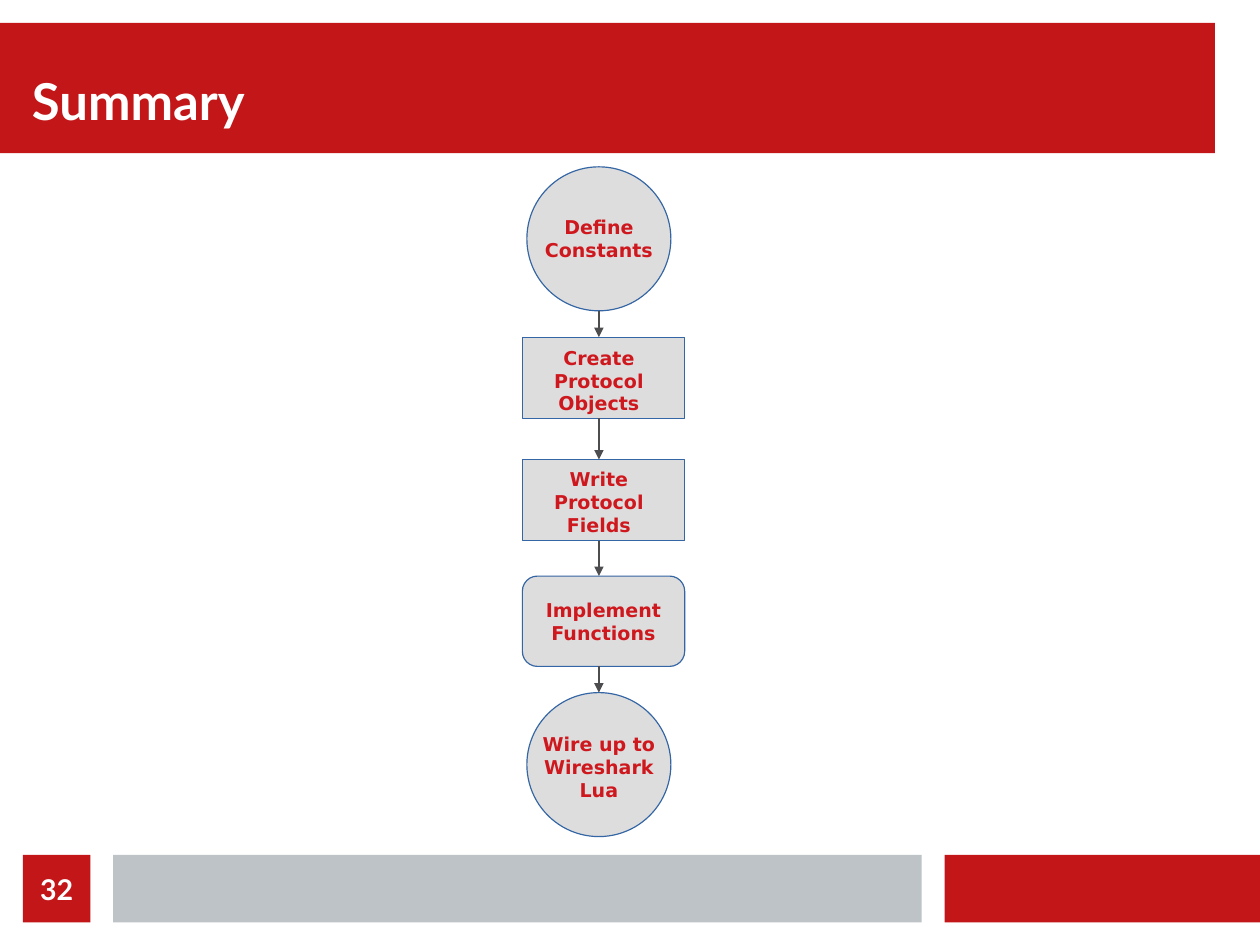
from dataclasses import dataclass

from lxml.etree import SubElement
from pptx import Presentation
from pptx.dml.color import RGBColor
from pptx.enum.shapes import MSO_CONNECTOR, MSO_SHAPE
from pptx.enum.text import MSO_ANCHOR, PP_ALIGN
from pptx.oxml.ns import qn
from pptx.util import Inches, Mm, Pt


@dataclass(frozen=True)
class Theme:
    red: str = "C31618"
    gray: str = "BDC3C7"
    step_fill: str = "DDDDDD"
    step_line: str = "3465A4"
    step_text: str = "CE181E"
    arrow: str = "4D4D4F"
    white: str = "FFFFFF"
    heading_font: str = "Lato"
    step_font: str = "DejaVu Sans"
    title_size: int = 32
    number_size: int = 18
    step_size: int = 12
    arrow_width: float = 1.45


THEME = Theme()
WIDTH, HEIGHT = Mm(280), Mm(210)
AXIS = 5.24  # x of the arrows and circle centres
BOX_LEFT, BOX_WIDTH = 4.57, 1.42
LABEL_WIDTH = 1.34
CIRCLE = 1.26

# kind of shape, top, height, label, centre of the label
STEPS = [
    (MSO_SHAPE.OVAL, 1.46, CIRCLE, "Define Constants", (AXIS, 2.08)),
    (MSO_SHAPE.FLOWCHART_PROCESS, 2.95, 0.71, "Create Protocol Objects", (AXIS, 3.32)),
    (MSO_SHAPE.FLOWCHART_PROCESS, 4.02, 0.71, "Write Protocol Fields", (AXIS, 4.38)),
    (MSO_SHAPE.FLOWCHART_ALTERNATE_PROCESS, 5.04, 0.79, "Implement Functions",
     (BOX_LEFT + BOX_WIDTH / 2, 5.43)),
    (MSO_SHAPE.OVAL, 6.06, CIRCLE, "Wire up to Wireshark Lua", (AXIS, 6.7)),
]


def color(value):
    return RGBColor.from_string(value)


def add_filled_shape(slide, kind, box, fill, line=None):
    shape = slide.shapes.add_shape(kind, *map(Inches, box))
    shape.shadow.inherit = False
    shape.fill.solid()
    shape.fill.fore_color.rgb = color(fill)
    if line:
        shape.line.color.rgb = color(line)
        shape.line.width = Pt(0)
    else:
        shape.line.fill.background()
    return shape


def write_text(shape, text, font, size, text_color, alignment, anchor, insets=(0, 0)):
    """Put one bold run in the shape; insets are horizontal, vertical."""
    frame = shape.text_frame
    frame.word_wrap = True
    frame.vertical_anchor = anchor
    frame.margin_left = frame.margin_right = Inches(insets[0])
    frame.margin_top = frame.margin_bottom = Inches(insets[1])
    paragraph = frame.paragraphs[0]
    paragraph.alignment = alignment
    run = paragraph.add_run()
    run.text = text
    run.font.name = font
    run.font.size = Pt(size)
    run.font.bold = True
    run.font.color.rgb = color(text_color)


def add_header(slide, box, text):
    left, top, width, height = box
    band = add_filled_shape(slide, MSO_SHAPE.RECTANGLE, box, THEME.red)
    title = slide.shapes.title
    band._element.addnext(title._element)
    title.left, title.top = Inches(left + 0.28), Inches(top + 0.15)
    title.width, title.height = Inches(width - 0.39), Inches(height - 0.35)
    write_text(title, text, THEME.heading_font, THEME.title_size, THEME.white,
               PP_ALIGN.LEFT, MSO_ANCHOR.BOTTOM)


def add_footer(slide, box, number):
    left, top, width, height = box
    gap, right_width = 0.2, 2.76
    middle_left = left + gap + height + gap
    right_left = left + width - right_width
    middle_width = right_left - gap - middle_left
    number_box, _, _ = [
        add_filled_shape(slide, MSO_SHAPE.RECTANGLE, (x, top, part_width, height), fill)
        for x, part_width, fill in (
            (left + gap, height, THEME.red),
            (middle_left, middle_width, THEME.gray),
            (right_left, right_width, THEME.red),
        )
    ]
    write_text(number_box, number, THEME.heading_font, THEME.number_size, THEME.white,
               PP_ALIGN.CENTER, MSO_ANCHOR.MIDDLE)


def add_step(slide, kind, top, height, text, label_center):
    if kind == MSO_SHAPE.OVAL:
        left, width = AXIS - CIRCLE / 2, CIRCLE
    else:
        left, width = BOX_LEFT, BOX_WIDTH
    shape = add_filled_shape(slide, kind, (left, top, width, height),
                             THEME.step_fill, THEME.step_line)
    label_height = 0.68 if len(text.split()) > 2 else 0.49
    center_x, center_y = label_center
    label_box = (center_x - LABEL_WIDTH / 2, center_y - label_height / 2,
                 LABEL_WIDTH, label_height)
    label = slide.shapes.add_textbox(*map(Inches, label_box))
    write_text(label, text, THEME.step_font, THEME.step_size, THEME.step_text,
               PP_ALIGN.CENTER, MSO_ANCHOR.TOP, (0.1, 0.05))
    return shape


def add_arrow(slide, start, end):
    arrow = slide.shapes.add_connector(
        MSO_CONNECTOR.STRAIGHT, Inches(AXIS), Inches(start), Inches(AXIS), Inches(end))
    arrow.line.color.rgb = color(THEME.arrow)
    arrow.line.width = Pt(THEME.arrow_width)
    SubElement(arrow.line._get_or_add_ln(), qn("a:tailEnd"), type="triangle")
    SubElement(arrow._element.spPr, qn("a:effectLst"))
    return arrow


def add_flow(slide, steps):
    """Stack the steps and link each one to the next along the axis."""
    shapes = [add_step(slide, *step) for step in steps]
    arrows = [
        add_arrow(slide, top + height, following[1])
        for (_, top, height, _, _), following in zip(steps, steps[1:])
    ]
    arrows[-1].end_connect(shapes[-1], 0)


def main():
    presentation = Presentation()
    presentation.slide_width, presentation.slide_height = WIDTH, HEIGHT
    slide = presentation.slides.add_slide(presentation.slide_layouts[5])
    add_header(slide, (0, 0.2, 10.63, 1.14), "Summary")
    add_footer(slide, (0, 7.48, WIDTH.inches, 0.59), "32")
    add_flow(slide, STEPS)
    presentation.save("out.pptx")


if __name__ == "__main__":
    main()
